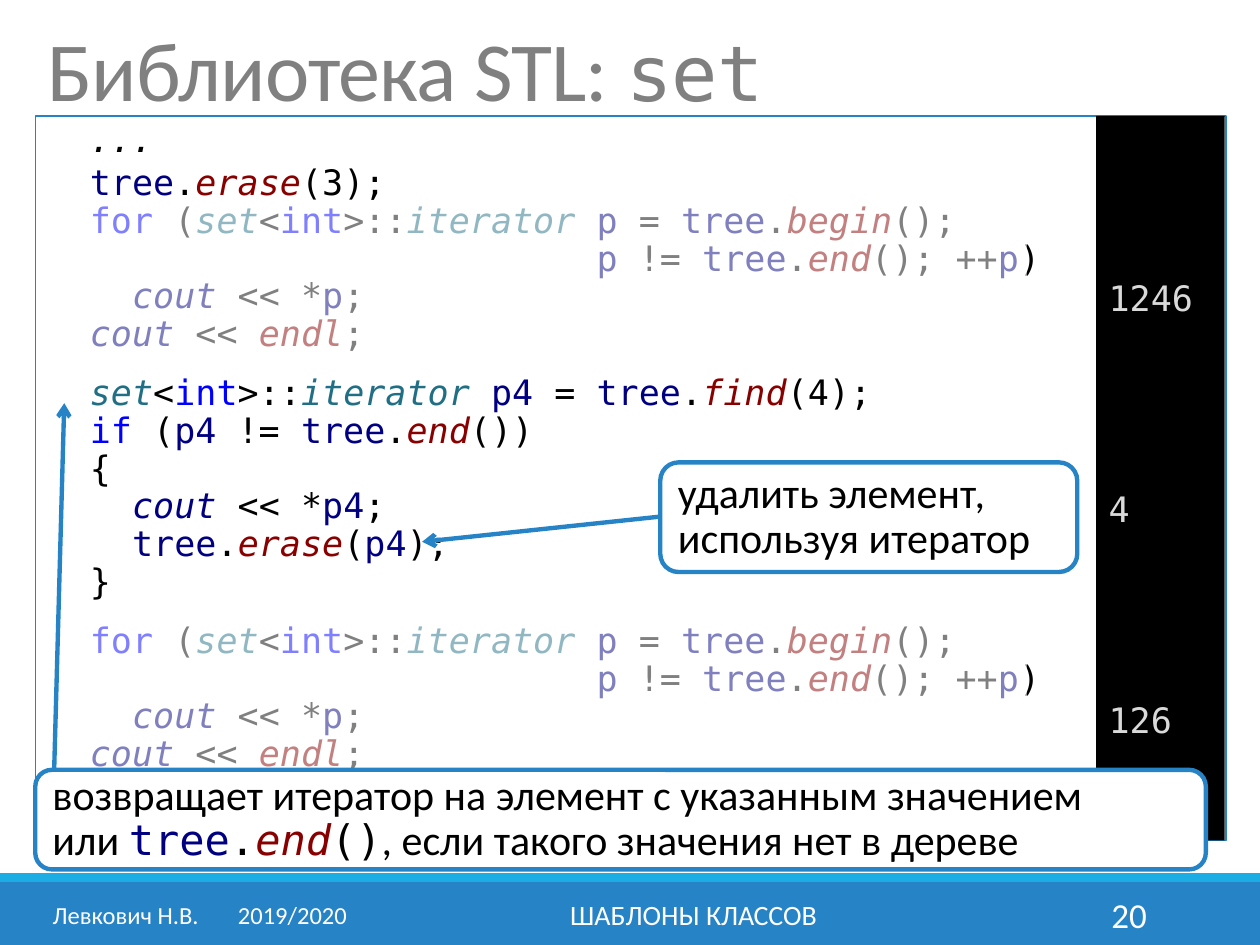
from pptx import Presentation
from pptx.dml.color import RGBColor
from pptx.enum.shapes import MSO_CONNECTOR, MSO_SHAPE
from pptx.enum.text import MSO_ANCHOR, PP_ALIGN
from pptx.oxml.ns import qn
from pptx.util import Pt
from lxml import etree

RECT, ROUND = MSO_SHAPE.RECTANGLE, MSO_SHAPE.ROUNDED_RECTANGLE
TOP, MIDDLE = MSO_ANCHOR.TOP, MSO_ANCHOR.MIDDLE
LEFT, CENTER, RIGHT = PP_ALIGN.LEFT, PP_ALIGN.CENTER, PP_ALIGN.RIGHT

PX = 9144  # 100 px to the inch
SANS, MONO = "Calibri", "DejaVu Sans Mono"
BLUE = RGBColor(0x26, 0x83, 0xC6)
CYAN = RGBColor(0x1C, 0xAD, 0xE4)
WHITE = RGBColor(0xFF, 0xFF, 0xFF)
BLACK = RGBColor(0, 0, 0)
GRAY = RGBColor(0x80, 0x80, 0x80)
LIGHT = RGBColor(0xD9, 0xD9, 0xD9)
NAVY = RGBColor(0, 0, 0x80)
MAROON = RGBColor(0x88, 0, 0)
TEAL = RGBColor(0x21, 0x6F, 0x85)
KEYWORD = RGBColor(0, 0, 0xFF)

# Syntax colouring: word -> (colour, italic)
SYNTAX = {"  ...": (BLACK, True), "cout": (NAVY, True)}
for words, style in (("for if int", (KEYWORD, False)),
                     ("tree p p4", (NAVY, False)),
                     ("set iterator", (TEAL, True)),
                     ("erase begin end endl find", (MAROON, True))):
    SYNTAX.update(dict.fromkeys(words.split(), style))

# Code tokens are separated by "|"
LOOP = ["  |for| (|set|<|int|>::|iterator| |p| = |tree|.|begin|();",
        "                          |p| != |tree|.|end|(); ++|p|)",
        "    |cout| << *|p|;",
        "  |cout| << |endl|;"]
CODE = ["  ...",
        "  |tree|.|erase|(3);",
        *LOOP,
        "  |set|<|int|>::|iterator| |p4| = |tree|.|find|(4);",
        "  |if| (|p4| != |tree|.|end|())",
        "  {",
        "    |cout| << *|p4|;",
        "    |tree|.|erase|(|p4|);",
        "  }",
        *LOOP]
SPACE_BEFORE = {1: 3, 6: 12, 12: 12}

prs = Presentation()
prs.slide_width, prs.slide_height = 1000 * PX, 750 * PX
s = prs.slides.add_slide(prs.slide_layouts[6])


def box(x, y, w, h, kind=RECT, fill=None, line=None, width=2.5, anchor=TOP):
    sp = s.shapes.add_shape(kind, x * PX, y * PX, w * PX, h * PX)
    sp.shadow.inherit = False
    if fill is None:
        sp.fill.background()
    else:
        sp.fill.solid()
        sp.fill.fore_color.rgb = fill
    if line is None:
        sp.line.fill.background()
    else:
        sp.line.color.rgb = line
        sp.line.width = Pt(width)
    tf = sp.text_frame
    tf.word_wrap = True
    tf.vertical_anchor = anchor
    tf.paragraphs[0].alignment = LEFT
    return sp


def write(p, text, size, color, name=SANS, syntax=None):
    for token in text.split("|"):
        rgb, italic = (syntax or {}).get(token, (color, False))
        r = p.add_run()
        r.text = token
        for key, value in {"size": Pt(size), "name": name, "italic": italic}.items():
            setattr(r.font, key, value)
        r.font.color.rgb = rgb


# Footer bars
box(0, 700, 1000, 50, fill=BLUE)
box(0, 693, 1000, 7, fill=CYAN)

# Footer texts
for x, w, text, size, align in ((812, 108, "20", 20, RIGHT),
                                (32, 261, "Левкович Н.В. \t2019/2020", 14, LEFT),
                                (302, 497, "ШАБЛОНЫ КЛАССОВ", 16, CENTER)):
    tf = s.shapes.add_textbox(x * PX, 706 * PX, w * PX, 40 * PX).text_frame
    tf.word_wrap = True
    tf.vertical_anchor = MIDDLE
    p = tf.paragraphs[0]
    p.alignment = align
    if "\t" in text:
        tabs = etree.SubElement(p._p.get_or_add_pPr(), qn("a:tabLst"))
        etree.SubElement(tabs, qn("a:tab"), pos=str(147 * PX), algn="l")
    write(p, text, size, WHITE)

# Title
tf = s.shapes.add_textbox(28 * PX, 21 * PX, 945 * PX, 79 * PX).text_frame
tf.word_wrap = True
p = tf.paragraphs[0]
p.line_spacing = 0.85
write(p, "Библиотека STL: ", 48, GRAY)
write(p, "set", 44, GRAY, MONO)
for r in p.runs:
    r.font._element.set("spc", "-50")

# Code listing
tf = box(28, 92, 945, 575, line=BLUE, width=0.75).text_frame
for i, text in enumerate(CODE):
    p = tf.paragraphs[0] if i == 0 else tf.add_paragraph()
    p.alignment = LEFT
    p.line_spacing = 0.9
    if i in SPACE_BEFORE:
        p.space_before = Pt(SPACE_BEFORE[i])
    write(p, text, 20, BLACK, MONO, SYNTAX)

# Console output, level with the lines that print it
tf = box(870, 92, 102, 575, fill=BLACK).text_frame
tf.margin_top = 131 * PX
for i, text in enumerate(("1246", "4", "126")):
    p = tf.paragraphs[0] if i == 0 else tf.add_paragraph()
    p.alignment = LEFT
    p.line_spacing = 0.9
    if i:
        p.space_before = Pt(99)
    write(p, text, 20, LIGHT, MONO)

# Half-transparent veils over the printing loops
for y, h in ((162, 126), (477, 134)):
    sp = box(35, y, 780, h, fill=WHITE)
    clr = sp._element.spPr.find(qn("a:solidFill"))[0]
    etree.SubElement(clr, qn("a:alpha"), val="50000")

# Callouts
p = box(28, 611, 929, 79, ROUND, WHITE, BLUE, anchor=MIDDLE).text_frame.paragraphs[0]
p.line_spacing = 0.9
write(p, "возвращает итератор на элемент с указанным значением", 24, BLACK)
p.add_line_break()
write(p, "или ", 24, BLACK)
write(p, "tree|.|end|()", 24, BLACK, MONO, SYNTAX)
write(p, ", если такого значения нет в дереве", 24, BLACK)

p = box(524, 367, 331, 87, ROUND, WHITE, BLUE, anchor=MIDDLE).text_frame.paragraphs[0]
p.line_spacing = 0.9
write(p, "удалить элемент, используя итератор", 24, BLACK)

# Arrows from the callouts to the code
for ends in ((43, 611, 51, 320), (524, 410, 335, 430)):
    c = s.shapes.add_connector(MSO_CONNECTOR.STRAIGHT, *(v * PX for v in ends))
    c.line.color.rgb = BLUE
    c.line.width = Pt(2.5)
    etree.SubElement(c.line._get_or_add_ln(), qn("a:tailEnd"), type="arrow")
    etree.SubElement(c._element.spPr, qn("a:effectLst"))

prs.save("out.pptx")
